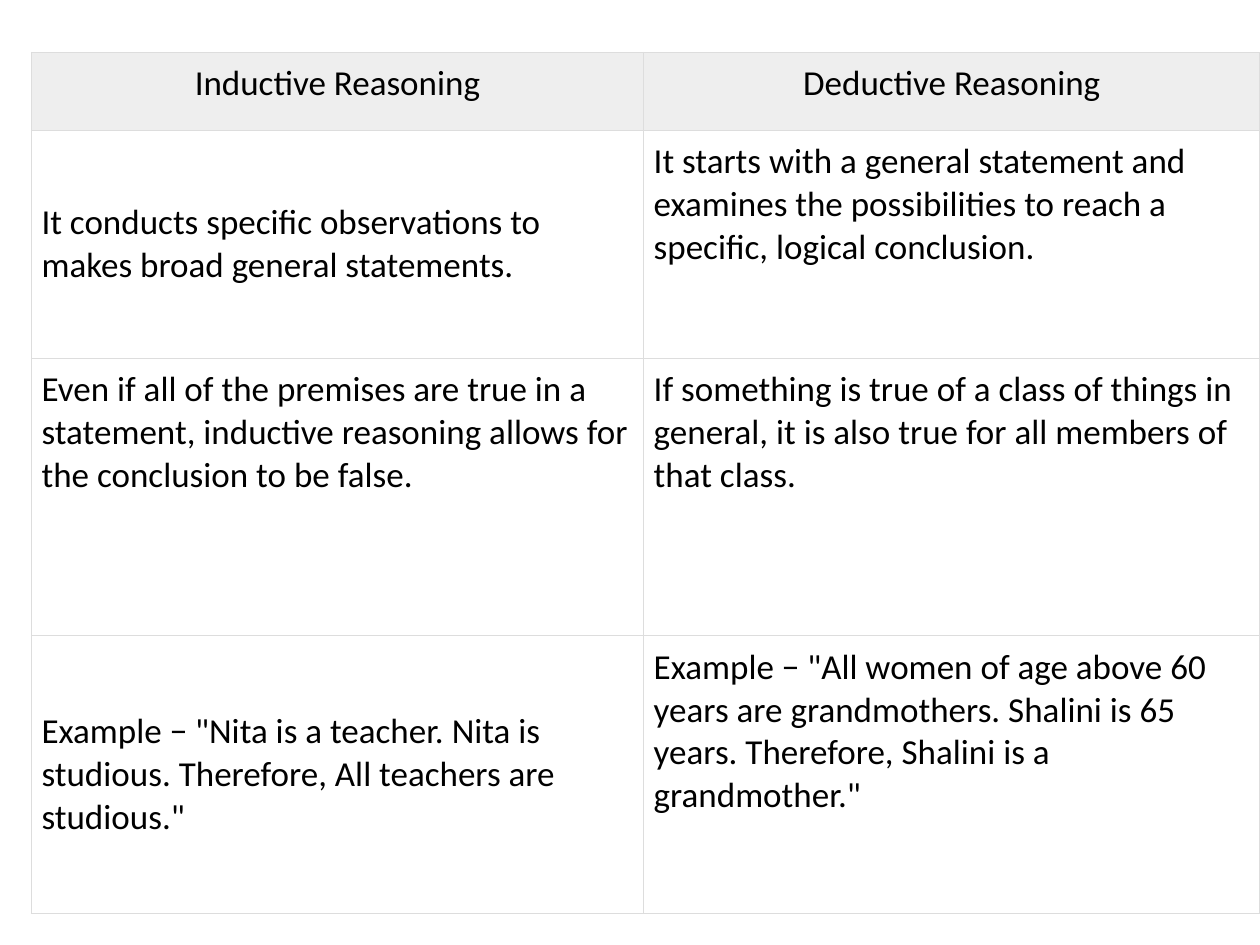
from lxml.etree import SubElement
from pptx import Presentation
from pptx.dml.color import RGBColor
from pptx.enum.text import MSO_ANCHOR, PP_ALIGN
from pptx.oxml.ns import qn
from pptx.util import Pt

BLACK = RGBColor(0x00, 0x00, 0x00)
HEAD = RGBColor(0xEE, 0xEE, 0xEE)
RULE = RGBColor(0xDD, 0xDD, 0xDD)


def put_text(frame, text, font="Calibri", size=20, color=BLACK,
             align=PP_ALIGN.LEFT):
    para = frame.paragraphs[0]
    para.alignment = align
    run = para.add_run()
    run.text = text
    run.font.name = font
    run.font.size = Pt(size)
    run.font.bold = False
    run.font.color.rgb = color


class Deck:
    pad = 5.76
    line = 0.75

    def __init__(self, width, height):
        self.prs = Presentation()
        self.prs.slide_width = Pt(width)
        self.prs.slide_height = Pt(height)
        self.slide = self.prs.slides.add_slide(self.prs.slide_layouts[6])

    def border(self, cell):
        props = cell._tc.get_or_add_tcPr()
        for side in ("lnL", "lnR", "lnT", "lnB"):
            edge = SubElement(props, qn("a:" + side), w=str(Pt(self.line)))
            fill = SubElement(edge, qn("a:solidFill"))
            SubElement(fill, qn("a:srgbClr"), val=str(RULE))

    def cell(self, cell, text, head=False, middle=False):
        cell.margin_left = cell.margin_right = Pt(self.pad)
        cell.margin_top = cell.margin_bottom = Pt(self.pad)
        cell.vertical_anchor = MSO_ANCHOR.MIDDLE if middle else MSO_ANCHOR.TOP
        self.border(cell)
        if head:
            cell.fill.solid()
            cell.fill.fore_color.rgb = HEAD
        else:
            cell.fill.background()
        put_text(cell.text_frame, text,
                 align=PP_ALIGN.CENTER if head else PP_ALIGN.LEFT)

    def table(self, left, top, cols, rows, data, mids):
        table = self.slide.shapes.add_table(
            len(rows), len(cols), Pt(left), Pt(top),
            Pt(sum(cols)), Pt(sum(rows))).table
        table.horz_banding = False
        for col, width in zip(table.columns, cols):
            col.width = Pt(width)
        for row, height in zip(table.rows, rows):
            row.height = Pt(height)
        for r, texts in enumerate(data):
            for c, text in enumerate(texts):
                self.cell(table.cell(r, c), text, head=r == 0,
                          middle=(r, c) in mids)


# Wording of the table, row by row
DATA = [
    ("Inductive Reasoning", "Deductive Reasoning"),
    ("It conducts specific observations to makes broad general statements.",
     "It starts with a general statement and examines the possibilities "
     "to reach a specific, logical conclusion."),
    ("Even if all of the premises are true in a statement, inductive "
     "reasoning allows for the conclusion to be false.",
     "If something is true of a class of things in general, it is also "
     "true for all members of that class."),
    ('Example − "Nita is a teacher. Nita is studious. Therefore, '
     'All teachers are studious."',
     'Example − "All women of age above 60 years are grandmothers. '
     'Shalini is 65 years. Therefore, Shalini is a grandmother."'),
]

# Comparison table, with two cells centred vertically
deck = Deck(720, 540)
deck.table(18, 30, cols=(349.8, 352.2), rows=(44.5, 130.2, 158.6, 158.6),
           data=DATA, mids={(1, 0), (3, 0)})
deck.prs.save("out.pptx")
